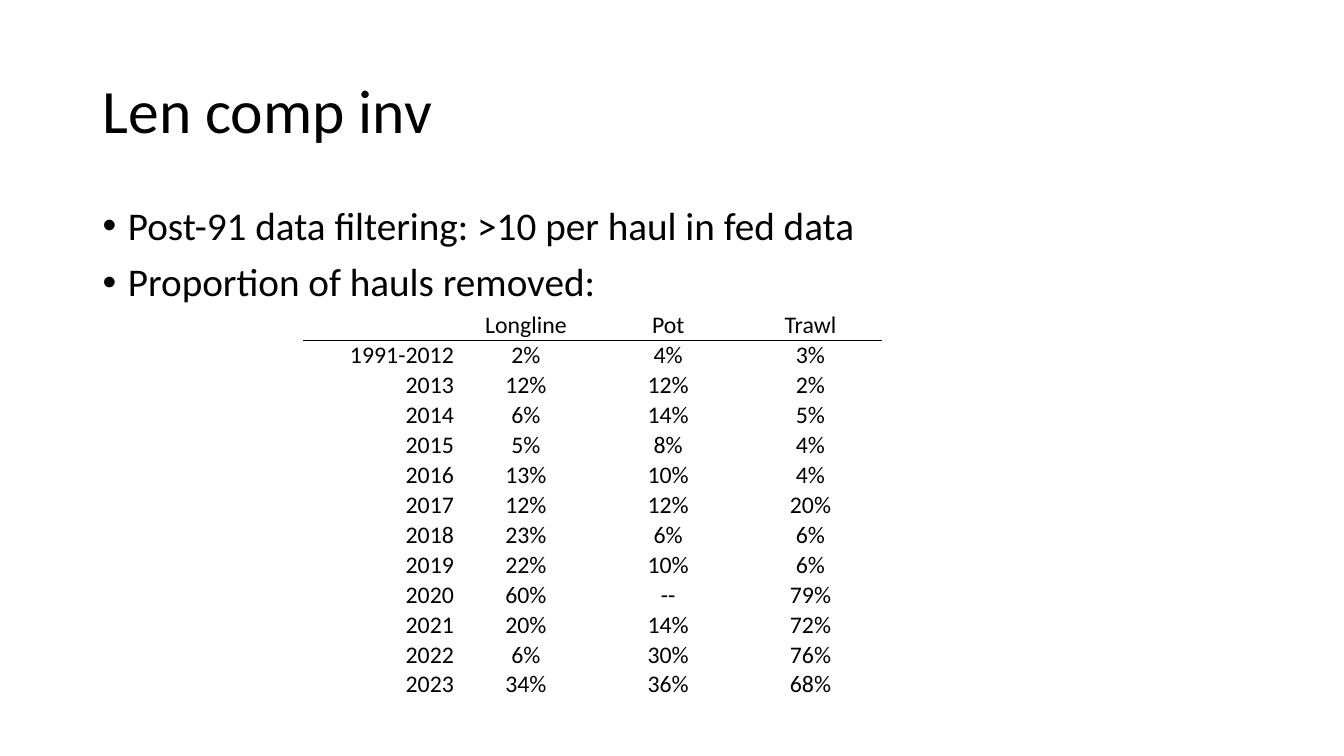
from dataclasses import dataclass

from lxml.etree import SubElement
from pptx import Presentation
from pptx.dml.color import RGBColor
from pptx.enum.text import MSO_ANCHOR, MSO_AUTO_SIZE, PP_ALIGN
from pptx.oxml.ns import qn
from pptx.util import Cm, Pt


@dataclass(frozen=True)
class Theme:
    font: str = "Calibri"
    ink: str = "000000"
    title: int = 44
    body: int = 28
    table: int = 17
    rule: float = 0.5


THEME = Theme()

BULLETS = [
    "Post-91 data filtering: >10 per haul in fed data",
    "Proportion of hauls removed:",
]

HAULS_REMOVED = [
    ("", "Longline", "Pot", "Trawl"),
    ("1991-2012", "2%", "4%", "3%"),
    ("2013", "12%", "12%", "2%"),
    ("2014", "6%", "14%", "5%"),
    ("2015", "5%", "8%", "4%"),
    ("2016", "13%", "10%", "4%"),
    ("2017", "12%", "12%", "20%"),
    ("2018", "23%", "6%", "6%"),
    ("2019", "22%", "10%", "6%"),
    ("2020", "60%", "--", "79%"),
    ("2021", "20%", "14%", "72%"),
    ("2022", "6%", "30%", "76%"),
    ("2023", "34%", "36%", "68%"),
]


def style_paragraph(p, size, align):
    p.alignment = align
    p.font.name = THEME.font
    p.font.size = Pt(size)
    p.font.color.rgb = RGBColor.from_string(THEME.ink)


def place(sp, box):
    sp.left, sp.top, sp.width, sp.height = box


def fill_title(sp, box, text):
    place(sp, box)
    tf = sp.text_frame
    tf.text = text
    tf.auto_size = MSO_AUTO_SIZE.NONE
    tf.vertical_anchor = MSO_ANCHOR.MIDDLE
    p = tf.paragraphs[0]
    style_paragraph(p, THEME.title, PP_ALIGN.LEFT)
    p.line_spacing = 0.9


def fill_bullets(sp, box, lines):
    place(sp, box)
    tf = sp.text_frame
    tf.text = "\n".join(lines)
    tf.auto_size = MSO_AUTO_SIZE.NONE
    indent = Cm(0.64)
    for p in tf.paragraphs:
        style_paragraph(p, THEME.body, PP_ALIGN.LEFT)
        p.line_spacing = 0.9
        p.space_before = Pt(10)
        pPr = p._p.get_or_add_pPr()
        pPr.set("marL", str(indent))
        pPr.set("indent", str(-indent))


def add_rule(cell, side):
    """Draw a thin line on one side of a cell: "lnT" or "lnB"."""
    ln = SubElement(cell._tc.get_or_add_tcPr(), qn(f"a:{side}"),
                    w=str(Pt(THEME.rule)))
    fill = SubElement(ln, qn("a:solidFill"))
    SubElement(fill, qn("a:srgbClr"), val=THEME.ink)


def add_hauls_table(s, box, rows):
    """Year column slightly wider than the equal gear columns, one header rule."""
    left, top, width, height = box
    table = s.shapes.add_table(len(rows), len(rows[0]),
                               left, top, width, height).table
    table.first_row = table.horz_banding = False
    year_width = Cm(3.81)
    gear_width = (width - year_width) // (len(rows[0]) - 1)
    for c, column in enumerate(table.columns):
        column.width = gear_width if c else year_width
    for r, row in enumerate(rows):
        for c, text in enumerate(row):
            cell = table.cell(r, c)
            cell.text = text
            cell.vertical_anchor = MSO_ANCHOR.BOTTOM
            cell.margin_left = cell.margin_right = cell.margin_top = Cm(0.02)
            cell.margin_bottom = 0
            style_paragraph(cell.text_frame.paragraphs[0], THEME.table,
                            PP_ALIGN.CENTER if c else PP_ALIGN.RIGHT)
            if r < 2:
                add_rule(cell, "lnT" if r else "lnB")
            cell.fill.background()


def main():
    prs = Presentation()
    prs.slide_width, prs.slide_height = Cm(33.87), Cm(19.05)
    s = prs.slides.add_slide(prs.slide_layouts[1])
    left, width = Cm(2.33), Cm(29.21)
    fill_title(s.shapes.title, (left, Cm(1.02), width, Cm(3.68)),
               "Len comp inv")
    fill_bullets(s.placeholders[1], (left, Cm(5.08), width, Cm(12.09)), BULLETS)
    add_hauls_table(s, (Cm(7.65), Cm(7.82), Cm(14.57), Cm(9.7)), HAULS_REMOVED)
    prs.save("out.pptx")


if __name__ == "__main__":
    main()
